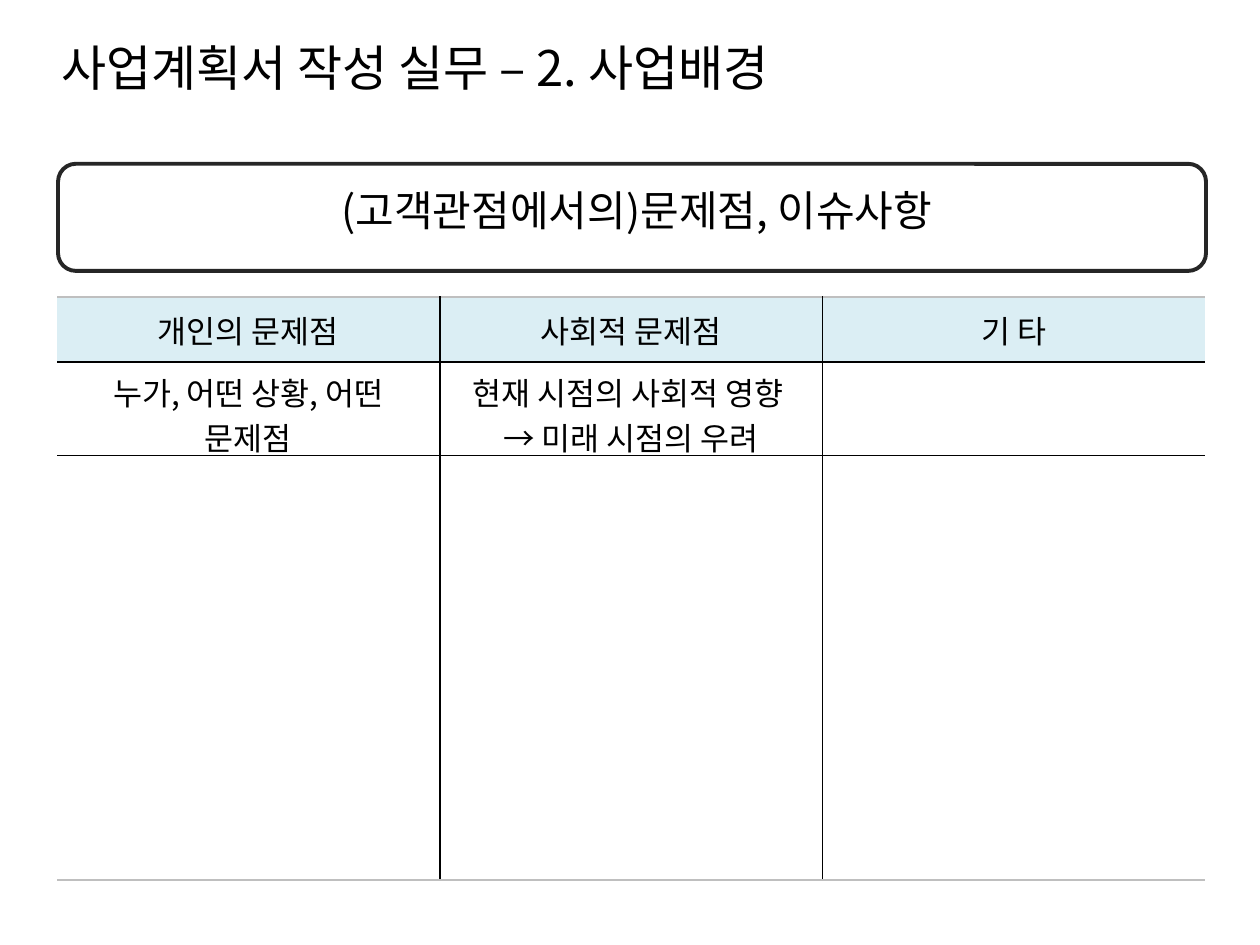
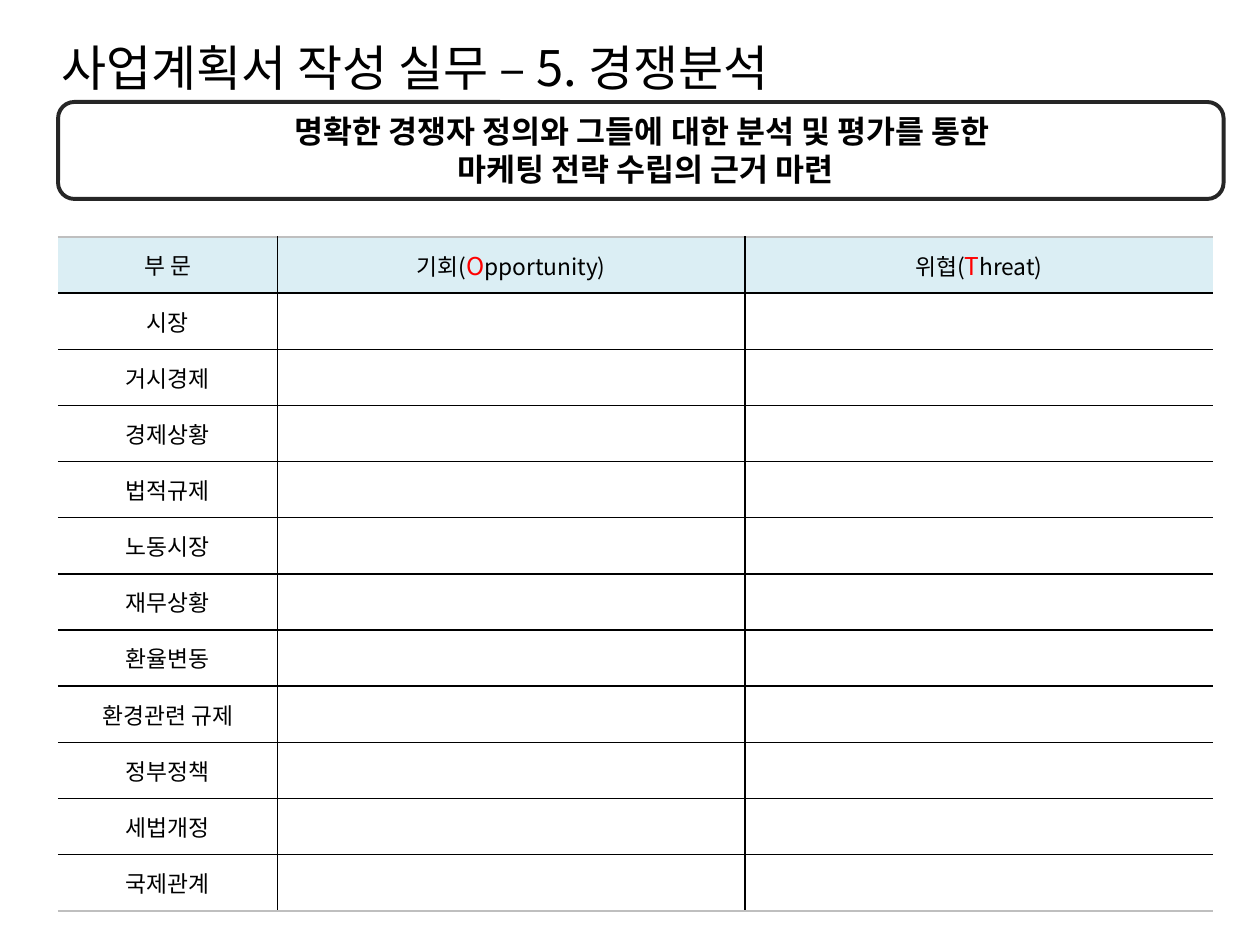
from pptx import Presentation, util as u
from pptx.dml.color import RGBColor
from pptx.enum import shapes, text
from pptx.oxml import ns
from lxml import etree

THEME = {
    "font": "Noto Sans CJK KR",
    "ink": "000000",
    "accent": "FF0000",
    "frame": "262626",
    "head": "DBEEF4",
    "edge": "BFBFBF",
    "title": 28,
    "frame_width": 2.25,
    "rule_width": 1,
}
TITLE_BOX = (28, 18, 541, 41)
TITLE = "사업계획서 작성 실무 – {}"

SECTORS = ["시장", "거시경제", "경제상황", "법적규제", "노동시장", "재무상황",
           "환율변동", "환경관련 규제", "정부정책", "세법개정", "국제관계"]

SLIDES = [
    {
        "topic": "2. 사업배경",
        "frame": (33.2, 93.6, 656, 61.2),
        "banner": ["(고객관점에서의)문제점, 이슈사항"],
        "banner_box": (44.6, 102.2, 638.6, 36),
        "banner_font": {"size": 24, "bold": False},
        "table_at": (32.6, 169.6),
        "cols": [218.7] * 3,
        "row_heights": [37.4, 53.3, 242.6],
        "size": 18,
        "rows": [
            ["개인의 문제점", "사회적 문제점", "기 타"],
            ["누가, 어떤 상황, 어떤 문제점",
             "현재 시점의 사회적 영향 \n→ 미래 시점의 우려", ""],
            ["", "", ""],
        ],
    },
    {
        "topic": "5. 경쟁분석",
        "frame": (33.2, 58.3, 666, 55.4),
        "banner": ["명확한 경쟁자 정의와 그들에 대한 분석 및 평가를 통한 ",
                   "마케팅 전략 수립의 근거 마련"],
        "banner_box": (44.6, 60.5, 648.7, 51.1),
        "banner_font": {"size": 18, "bold": True},
        "table_at": (33.1, 135.4),
        "cols": [125.4, 267.3, 267.3],
        "row_heights": [32.1] * (len(SECTORS) + 1),
        "size": 13,
        "rows": [["부 문", ("기회(", "O", "pportunity)"), ("위협(", "T", "hreat)")]]
        + [[sector, "", ""] for sector in SECTORS],
    },
]


def pts(*values):
    return [u.Pt(v) for v in values]


def add_run(p, words, size, color="ink", bold=False):
    r = p.add_run()
    r.text = words
    formats = {"name": THEME["font"], "size": u.Pt(size), "bold": bold}
    for key, value in formats.items():
        setattr(r.font, key, value)
    r.font.color.rgb = RGBColor.from_string(THEME[color])
    latin = r.font._element.find(ns.qn("a:latin"))
    ea = etree.Element(ns.qn("a:ea"), typeface=THEME["font"])
    latin.addnext(ea)


def add_label(s, box, lines, size, bold=False, align=text.PP_ALIGN.LEFT):
    tf = s.shapes.add_textbox(*pts(*box)).text_frame
    tf.word_wrap = True
    for i, line in enumerate(lines):
        p = tf.add_paragraph() if i else tf.paragraphs[0]
        p.alignment = align
        add_run(p, line, size, bold=bold)


def add_frame(s, box):
    sp = s.shapes.add_shape(shapes.MSO_SHAPE.ROUNDED_RECTANGLE, *pts(*box))
    sp.shadow.inherit = False
    sp.fill.background()
    sp.line.color.rgb = RGBColor.from_string(THEME["frame"])
    sp.line.width = u.Pt(THEME["frame_width"])


def set_borders(cell, borders):
    props = cell._tc.get_or_add_tcPr()
    for i, (side, color) in enumerate(borders.items()):
        ln = etree.Element(ns.qn(f"a:ln{side}"), w=str(u.Pt(THEME["rule_width"])))
        if color:
            fill = etree.SubElement(ln, ns.qn("a:solidFill"))
            etree.SubElement(fill, ns.qn("a:srgbClr"), val=THEME[color])
        else:
            etree.SubElement(ln, ns.qn("a:noFill"))
        props.insert(i, ln)


def fill_cell(cell, content, size):
    cell.vertical_anchor = text.MSO_ANCHOR.MIDDLE
    p = cell.text_frame.paragraphs[0]
    p.alignment = text.PP_ALIGN.CENTER
    if isinstance(content, tuple):
        before, initial, after = content
        add_run(p, before, size)
        add_run(p, initial, size + 1, "accent")
        add_run(p, after, size)
    elif content:
        for i, line in enumerate(content.split("\n")):
            if i:
                p.add_line_break()
            add_run(p, line, size)


def add_grid(s, data):
    rows, cols, heights = data["rows"], data["cols"], data["row_heights"]
    box = (*data["table_at"], sum(cols), sum(heights))
    table = s.shapes.add_table(len(rows), len(cols), *pts(*box)).table
    table.first_row = table.horz_banding = False
    for column, width in zip(table.columns, cols):
        column.width = u.Pt(width)
    for row, height in zip(table.rows, heights):
        row.height = u.Pt(height)
    last_row, last_col = len(rows) - 1, len(cols) - 1
    for i, row in enumerate(rows):
        for j, content in enumerate(row):
            cell = table.cell(i, j)
            fill_cell(cell, content, data["size"])
            if i == 0:
                cell.fill.solid()
                cell.fill.fore_color.rgb = RGBColor.from_string(THEME["head"])
            else:
                cell.fill.background()
            set_borders(cell, {
                "L": "ink" if j else None,
                "R": "ink" if j < last_col else None,
                "T": "ink" if i else "edge",
                "B": "ink" if i < last_row else "edge",
            })


def main():
    prs = Presentation()
    prs.slide_width, prs.slide_height = pts(720, 540)
    for data in SLIDES:
        s = prs.slides.add_slide(prs.slide_layouts[6])
        add_label(s, TITLE_BOX, [TITLE.format(data["topic"])], THEME["title"])
        add_frame(s, data["frame"])
        add_label(s, data["banner_box"], data["banner"],
                  align=text.PP_ALIGN.CENTER, **data["banner_font"])
        add_grid(s, data)
    prs.save("out.pptx")


if __name__ == "__main__":
    main()
